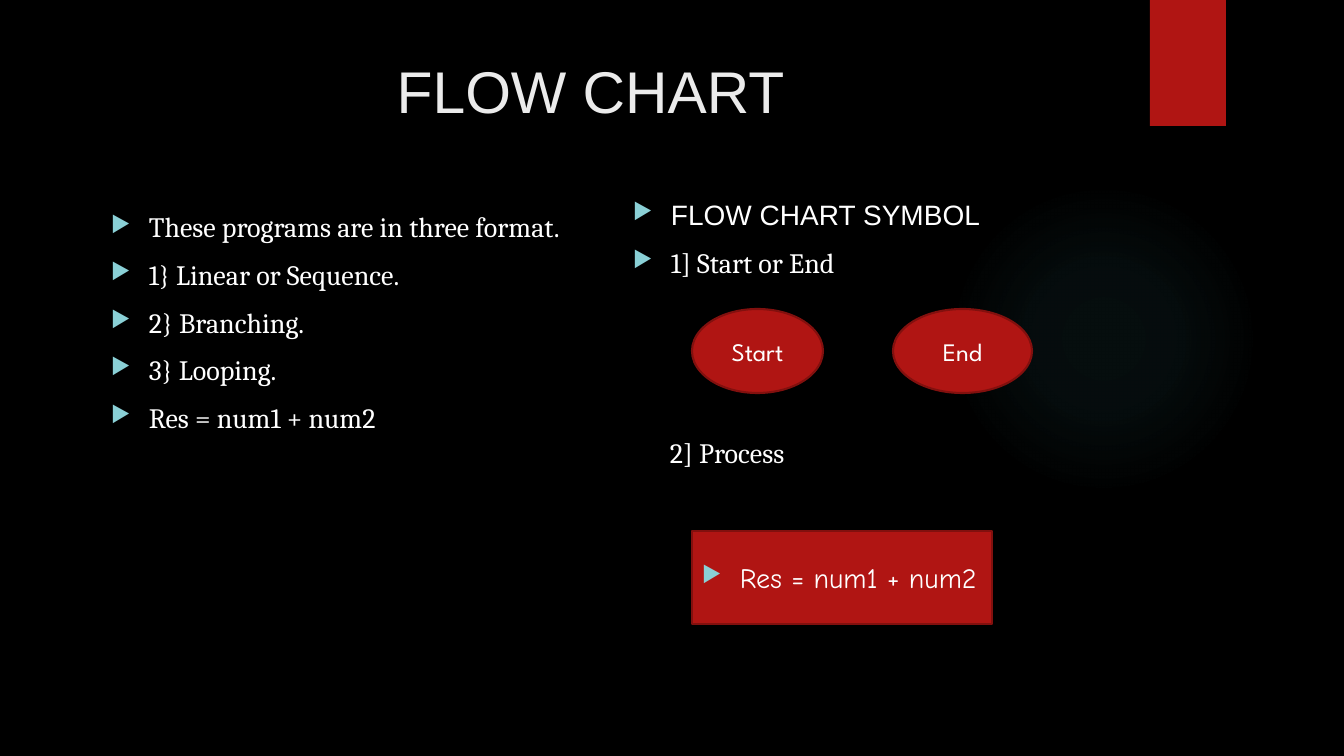
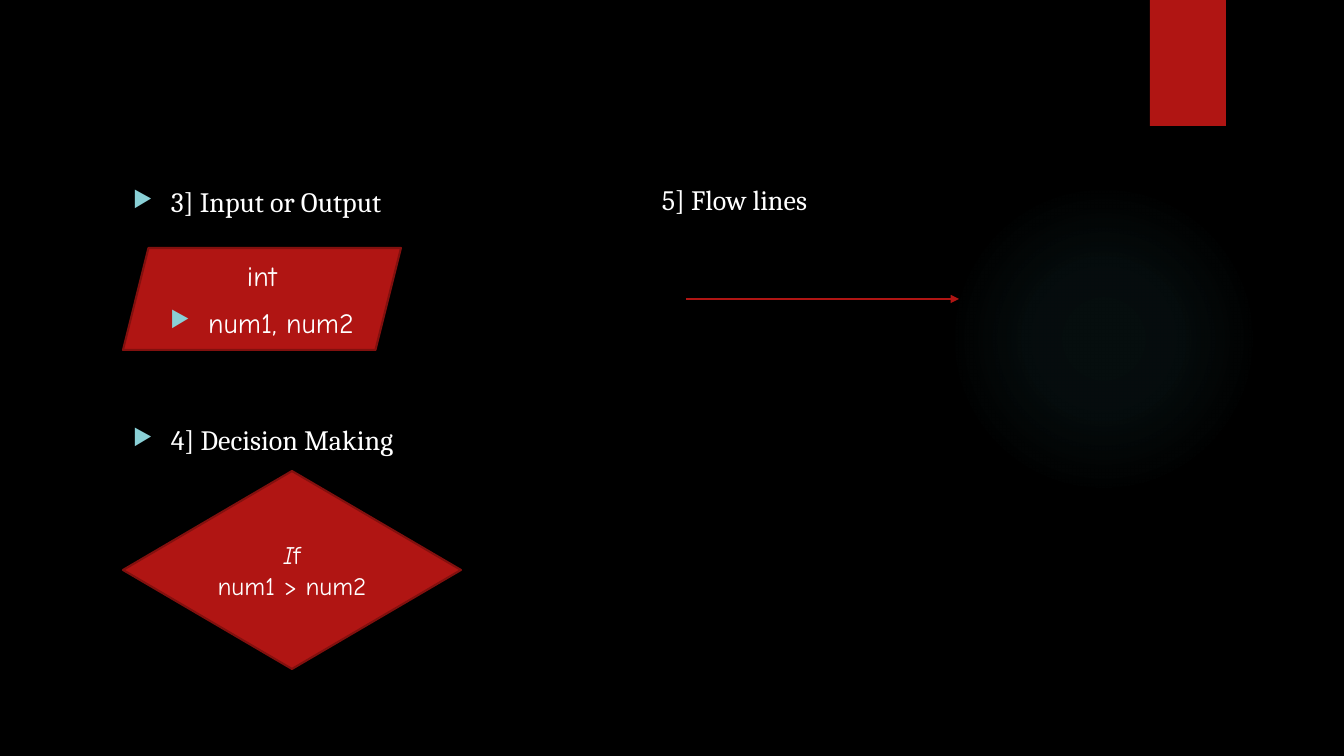
"""Build two dark slides on flow chart symbols."""
from lxml import etree
from pptx import Presentation
from pptx.dml.color import RGBColor
from pptx.enum.shapes import MSO_CONNECTOR, MSO_SHAPE
from pptx.enum.text import MSO_ANCHOR, PP_ALIGN
from pptx.oxml import parse_xml
from pptx.oxml.ns import nsdecls, qn
from pptx.util import Pt

OVAL, RECT = MSO_SHAPE.OVAL, MSO_SHAPE.RECTANGLE
SLANT, GEM = MSO_SHAPE.PARALLELOGRAM, MSO_SHAPE.DIAMOND
LINE = MSO_CONNECTOR.STRAIGHT
LEFT, MID = PP_ALIGN.LEFT, PP_ALIGN.CENTER
TOP, CORE = MSO_ANCHOR.TOP, MSO_ANCHOR.MIDDLE
SCALE = 914400 / 100.8
HANG = 38
HEX = {"back": "000000", "red": "B01513", "edge": "82100E", "text": "FFFFFF",
       "title": "EBEBEB", "mark": "8AD0D6", "glow": "50B9C1"}
GLOW = ((0, 7), (36, 6), (69, 0))
TITLE = {"font": "Arial", "size": 42, "color": "title", "align": MID}
BODY = {"font": "Cambria", "size": 20, "before": 10, "bullet": True}
PLAIN = {**BODY, "bullet": False}
CODE = {**BODY, "font": "Comic Neue"}
TEST = {"font": "Comic Neue", "size": 18, "align": MID}
LABEL = {**TEST, "font": "League Spartan"}


def px(num):
    """Turn pixels into EMU."""
    return round(num * SCALE)


def rgb(name):
    """Look up a named colour."""
    return RGBColor.from_string(HEX[name])


def mark(para):
    """Give a paragraph a hanging triangle bullet."""
    props = para._p.get_or_add_pPr()
    props.set("marL", str(px(HANG)))
    props.set("indent", str(-px(HANG)))
    color = etree.SubElement(props, qn("a:buClr"))
    etree.SubElement(color, qn("a:srgbClr")).set("val", HEX["mark"])
    etree.SubElement(props, qn("a:buSzPct")).set("val", "80000")
    etree.SubElement(props, qn("a:buChar")).set("char", "\u25b6")


def write(para, text, form):
    """Write text, or a tuple of runs, in one format."""
    para.alignment = form.get("align", LEFT)
    para.space_before = Pt(form.get("before", 0))
    if form.get("bullet"):
        mark(para)
    style = {"name": form["font"], "size": Pt(form["size"])}
    for part in (text,) if isinstance(text, str) else text:
        run = para.add_run()
        run.text = part
        run.font.color.rgb = rgb(form.get("color", "text"))
        for key, value in style.items():
            setattr(run.font, key, value)


def fill(frame, rows, anchor):
    """Fill a text frame with rows of text and format."""
    frame.word_wrap = True
    frame.vertical_anchor = anchor
    for num, (text, form) in enumerate(rows):
        para = frame.add_paragraph() if num else frame.paragraphs[0]
        write(para, text, form)


def note(slide, box, *rows):
    """Add a text box."""
    area = slide.shapes.add_textbox(*map(px, box))
    fill(area.text_frame, rows, TOP)


def block(slide, kind, box, *rows, edge=True):
    """Add a red shape with centred rows."""
    shape = slide.shapes.add_shape(kind, *map(px, box))
    shape.shadow.inherit = False
    shape.fill.solid()
    shape.fill.fore_color.rgb = rgb("red")
    if edge:
        shape.line.color.rgb = rgb("edge")
        shape.line.width = Pt(1.5)
    else:
        shape.line.fill.background()
    fill(shape.text_frame, rows, CORE)
    return shape


def glow(slide, box):
    """Add a faint round glow."""
    shape = block(slide, OVAL, box, edge=False)
    stops = "".join(
        f'<a:gs pos="{pos * 1000}"><a:srgbClr val="{HEX["glow"]}">'
        f'<a:alpha val="{alpha * 1000}"/></a:srgbClr></a:gs>'
        for pos, alpha in GLOW)
    grad = parse_xml(
        f'<a:gradFill {nsdecls("a")}><a:gsLst>{stops}</a:gsLst>'
        '<a:path path="circle"><a:fillToRect l="50000" t="50000" '
        'r="50000" b="50000"/></a:path></a:gradFill>')
    props = shape._element.spPr
    props.replace(props.find(qn("a:solidFill")), grad)


def arrow(slide, start, end):
    """Add a thin red arrow."""
    link = slide.shapes.add_connector(LINE, *map(px, start + end))
    link.line.color.rgb = rgb("red")
    link.line.width = Pt(0.75)
    tip = etree.SubElement(link.line._get_or_add_ln(), qn("a:tailEnd"))
    tip.set("type", "triangle")
    etree.SubElement(link._element.spPr, qn("a:effectLst"))


def base(deck):
    """Add a slide with the shared backdrop."""
    slide = deck.slides.add_slide(deck.slide_layouts[6])
    slide.background.fill.solid()
    slide.background.fill.fore_color.rgb = rgb("back")
    glow(slide, (949, 184, 310, 310))
    block(slide, RECT, (1150, 0, 76, 126), edge=False)
    return slide


def chart(deck):
    """Build the slide with formats and the first symbols."""
    slide = base(deck)
    note(slide, (72, 50, 1037, 154), ("FLOW CHART", TITLE))
    lines = ("These programs are in three format.", "1} Linear or Sequence.",
             "2} Branching.", "3} Looping.", "Res = num1 + num2")
    note(slide, (101, 205, 485, 463), *((line, BODY) for line in lines))
    note(slide, (623, 193, 485, 100),
         ("FLOW CHART SYMBOL", {**BODY, "font": "Arial"}),
         ("1] Start or End", BODY))
    note(slide, (660, 431, 448, 44), ("2] Process", PLAIN))
    block(slide, OVAL, (692, 309, 131, 84), ("Start", LABEL))
    block(slide, OVAL, (893, 309, 139, 84), ("End", LABEL))
    block(slide, RECT, (692, 531, 300, 93), ("Res = num1 + num2", CODE))


def signs(deck):
    """Build the slide with the other symbols."""
    slide = base(deck)
    note(slide, (652, 178, 521, 44), ("5] Flow lines", PLAIN))
    note(slide, (123, 180, 485, 44), ("3] Input or Output", BODY))
    note(slide, (123, 418, 485, 44), ("4] Decision Making", BODY))
    block(slide, SLANT, (123, 248, 278, 102),
          ("int", {**CODE, "align": MID, "bullet": False}),
          ("num1, num2", {**CODE, "align": MID}))
    test = block(slide, GEM, (123, 471, 338, 198),
                 (("I", "f"), TEST), ("num1 > num2", TEST))
    test.text_frame.paragraphs[0].runs[0].font.italic = True
    arrow(slide, (686, 299), (959, 299))


def main():
    """Build and save the deck."""
    deck = Presentation()
    deck.slide_width, deck.slide_height = px(1344), px(756)
    chart(deck)
    signs(deck)
    deck.save("out.pptx")


main()
